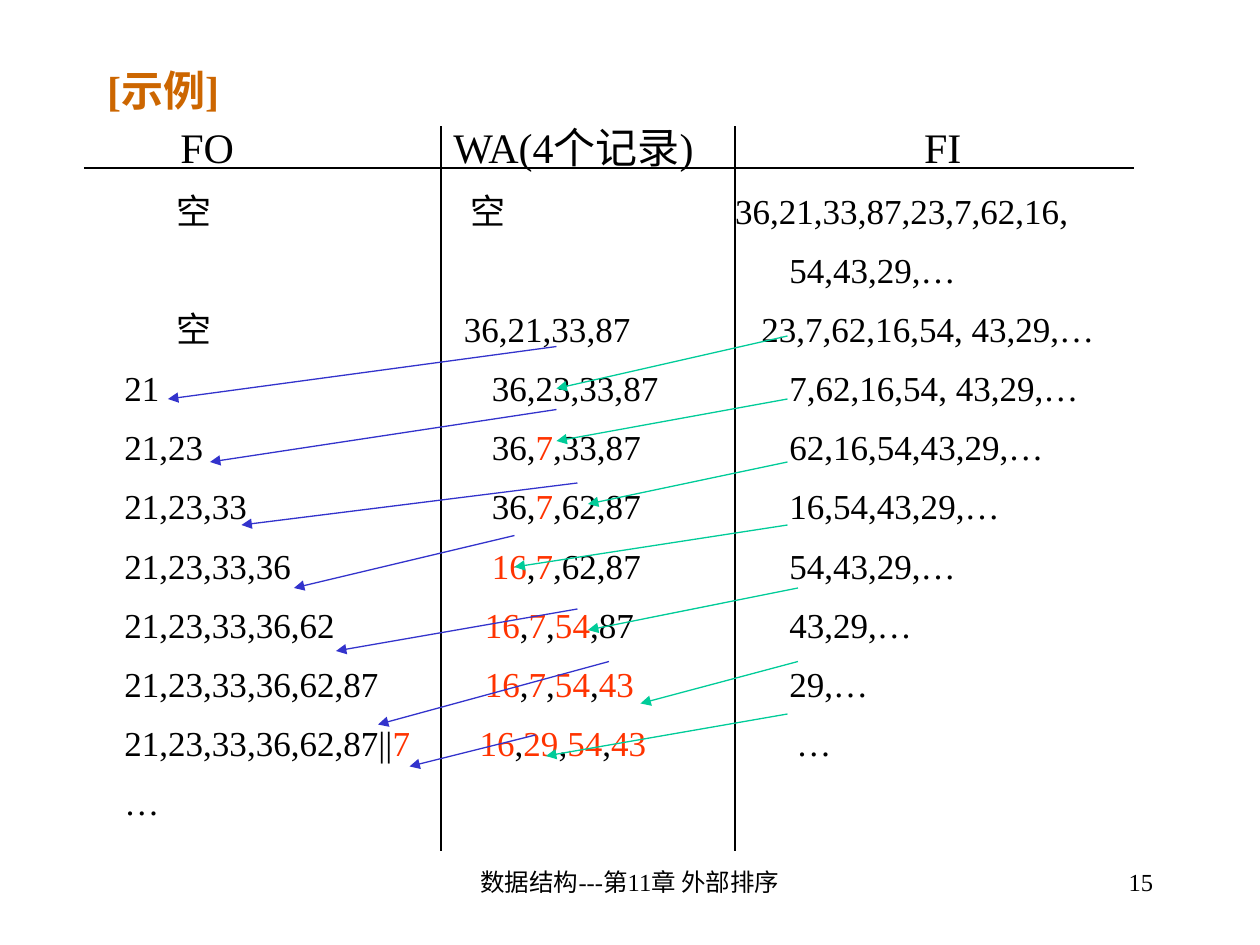
from dataclasses import dataclass

from lxml import etree
from pptx import Presentation
from pptx.dml.color import RGBColor
from pptx.enum.shapes import MSO_CONNECTOR
from pptx.enum.text import MSO_ANCHOR, MSO_AUTO_SIZE, PP_ALIGN
from pptx.oxml.ns import qn
from pptx.util import Pt

LEFT, MID, RIGHT = PP_ALIGN.LEFT, PP_ALIGN.CENTER, PP_ALIGN.RIGHT
STRAIGHT = MSO_CONNECTOR.STRAIGHT


@dataclass(frozen=True)
class Theme:
    font: str = "Times New Roman"
    ink: str = "000000"
    title: str = "CC6600"
    red: str = "FF3300"
    blue: str = "3333CC"
    green: str = "00CC99"
    head: int = 24
    body: int = 20
    foot: int = 14


theme = Theme()


def add_run(para, text, size, color, bold=False):
    run = para.add_run()
    run.text = text
    font = run.font
    font.name = theme.font
    font.size = Pt(size)
    font.bold = bold
    font.color.rgb = RGBColor.from_string(color)


def add_line(start, end, color, arrow=False):
    line = slide.shapes.add_connector(STRAIGHT, *map(Pt, start + end))
    line.line.width = Pt(0.75)
    line.line.color.rgb = RGBColor.from_string(color)
    if arrow:
        stroke = line.line._get_or_add_ln()
        etree.SubElement(stroke, qn("a:tailEnd"), type="triangle")
    etree.SubElement(line._element.spPr, qn("a:effectLst"))


deck = Presentation()
deck.slide_width, deck.slide_height = Pt(720), Pt(540)
slide = deck.slides.add_slide(deck.slide_layouts[5])

title = slide.shapes.title
title.left, title.top, title.width, title.height = Pt(54), Pt(30), Pt(612), Pt(42)
title.text_frame.auto_size = MSO_AUTO_SIZE.NONE
title.text_frame.vertical_anchor = MSO_ANCHOR.MIDDLE
para = title.text_frame.paragraphs[0]
para.alignment = LEFT
add_run(para, "[示例]", theme.head, theme.title, True)

footers = [
    ("数据结构---第11章 外部排序", 246, 228, MID),
    ("15", 516, 150, RIGHT),
]
for text, left, width, align in footers:
    box = slide.shapes.add_textbox(Pt(left), Pt(492), Pt(width), Pt(36))
    box.text_frame.word_wrap = True
    para = box.text_frame.paragraphs[0]
    para.alignment = align
    add_run(para, text, theme.foot, theme.ink)

# Asterisks enclose red values
rows = [
    [(42, "FO"), (198, "WA(4个记录)"), (467, "FI")],
    [(40, "空"), (208, "空"), (359, "36,21,33,87,23,7,62,16,")],
    [(390, "54,43,29,…")],
    [(40, "空"), (204, "36,21,33,87"), (374, "23,7,62,16,54, 43,29,…")],
    [(10, "21"), (220, "36,23,33,87"), (390, "7,62,16,54, 43,29,…")],
    [(10, "21,23"), (220, "36,*7*,33,87"), (390, "62,16,54,43,29,…")],
    [(10, "21,23,33"), (220, "36,*7*,62,87"), (390, "16,54,43,29,…")],
    [(10, "21,23,33,36"), (220, "*16*,*7*,62,87"), (390, "54,43,29,…")],
    [(10, "21,23,33,36,62"), (216, "*16*,*7*,*54*,87"), (390, "43,29,…")],
    [(10, "21,23,33,36,62,87"), (216, "*16*,*7*,*54*,*43*"), (390, "29,…")],
    [(10, "21,23,33,36,62,87||*7*"), (213, "*16*,*29*,*54*,*43*"), (394, "…")],
    [(10, "…")],
]
body = slide.shapes.add_textbox(Pt(54), Pt(66), Pt(612), Pt(414))
frame = body.text_frame
frame.word_wrap = True
for i, row in enumerate(rows):
    para = frame.add_paragraph() if i else frame.paragraphs[0]
    tabs = etree.SubElement(para._p.get_or_add_pPr(), qn("a:tabLst"))
    for stop, text in row:
        etree.SubElement(tabs, qn("a:tab"), pos=str(Pt(stop)), algn="l")
    if i:
        para.line_spacing = 1.2
        para.space_before = Pt(5)
    size = theme.body if i else theme.head
    text = "".join("\t" + text for stop, text in row)
    for j, part in enumerate(text.split("*")):
        if part:
            add_run(para, part, size, theme.red if j % 2 else theme.ink)

add_line((48, 96), (648, 96), theme.ink)
for x in (252, 420):
    add_line((x, 72), (x, 486), theme.ink)

arrows = {
    theme.blue: [
        ((318, 198), (96, 228)),
        ((318, 234), (120, 264)),
        ((330, 276), (138, 300)),
        ((294, 306), (168, 336)),
        ((330, 348), (192, 372)),
        ((348, 378), (216, 414)),
        ((306, 420), (234, 438)),
    ],
    theme.green: [
        ((450, 192), (318, 222)),
        ((450, 228), (318, 252)),
        ((450, 264), (336, 288)),
        ((450, 300), (294, 324)),
        ((456, 336), (336, 360)),
        ((456, 378), (366, 402)),
        ((450, 408), (312, 432)),
    ],
}
for color, pairs in arrows.items():
    for start, end in pairs:
        add_line(start, end, color, True)

deck.save("out.pptx")
